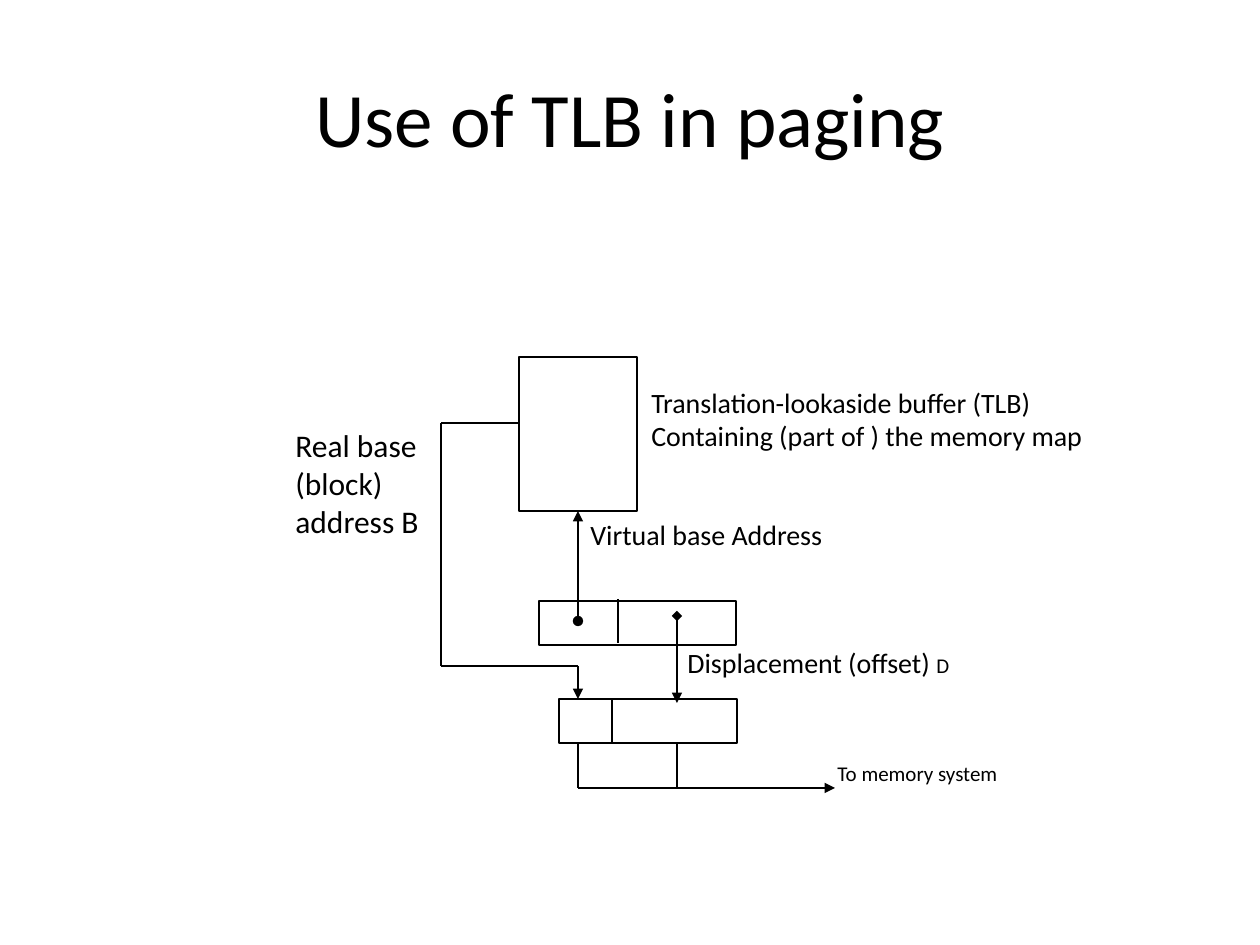
from dataclasses import dataclass

from lxml import etree
from pptx import Presentation
from pptx.dml.color import RGBColor
from pptx.enum.shapes import MSO_CONNECTOR, MSO_SHAPE
from pptx.enum.text import MSO_ANCHOR, PP_ALIGN
from pptx.oxml.ns import qn
from pptx.util import Emu, Pt

RECT = MSO_SHAPE.RECTANGLE
STRAIGHT = MSO_CONNECTOR.STRAIGHT
MIDDLE = MSO_ANCHOR.MIDDLE
CENTER = PP_ALIGN.CENTER
SCALE = 914400 // 126
BLACK, WHITE = "000000", "FFFFFF"
BOTTOM = 2


@dataclass
class Box:
    x: int
    y: int
    w: int
    h: int


@dataclass
class Wire:
    x1: int
    y1: int
    x2: int
    y2: int
    head: str = ""
    tail: str = ""


@dataclass
class Label:
    box: Box
    lines: list
    size: int


TITLE = Box(63, 38, 1134, 158)
TLB = Box(519, 357, 118, 154)
VIRTUAL = Box(539, 601, 197, 44)
REAL = Box(559, 699, 178, 44)
LEFT, BASE, OFFSET = 441, 578, 677
ENTRY, TURN, BUS = 423, 666, 788
FOOT = REAL.y + REAL.h

LOOKUP = Wire(BASE, 621, BASE, TLB.y + TLB.h, "oval", "triangle")
SPLIT = Wire(612, REAL.y, 612, FOOT)
WIRES = [
    Wire(TLB.x, ENTRY, LEFT, ENTRY),
    Wire(LEFT, ENTRY, LEFT, TURN),
    Wire(LEFT, TURN, BASE, TURN),
    Wire(BASE, TURN, BASE, REAL.y, tail="triangle"),
    Wire(618, 599, 618, 643),
    Wire(OFFSET, 616, OFFSET, 703, "diamond", "triangle"),
    Wire(BASE, FOOT, BASE, BUS),
    Wire(OFFSET, FOOT, OFFSET, BUS),
    Wire(BASE, BUS, 835, BUS, tail="triangle"),
]
LABELS = [
    Label(Box(639, 379, 505, 72), ["Translation-lookaside buffer (TLB)",
                                   "Containing (part of ) the memory map"], 16),
    Label(Box(578, 511, 324, 35), ["Virtual base Address"], 16),
    Label(Box(675, 639, 323, 54), ["Displacement (offset) "], 16),
    Label(Box(825, 754, 256, 66), ["To memory system"], 12),
    Label(Box(283, 420, 168, 116), ["Real base", "(block)\vaddress B"], 18),
]


def px(*sizes: int) -> list:
    """Turn pixel lengths into EMU."""
    return [Emu(size * SCALE) for size in sizes]


def place(box: Box) -> list:
    """Give the EMU frame of a box."""
    return px(box.x, box.y, box.w, box.h)


def tint(code: str) -> RGBColor:
    """Turn a hex string into a colour."""
    return RGBColor.from_string(code)


def apply(item, values: dict) -> None:
    """Set each named value on an object."""
    for name, value in values.items():
        setattr(item, name, value)


def style(run, size: int) -> None:
    """Format one run of text."""
    apply(run.font, {"name": "Calibri", "size": Pt(size), "bold": False})
    run.font.color.rgb = tint(BLACK)


def ink(line) -> None:
    """Give an outline its colour and width."""
    line.color.rgb = tint(BLACK)
    line.width = Pt(0.75)


def draw_box(shapes, box: Box):
    """Draw a white rectangle with a thin outline."""
    shape = shapes.add_shape(RECT, *place(box))
    shape.shadow.inherit = False
    shape.fill.solid()
    shape.fill.fore_color.rgb = tint(WHITE)
    ink(shape.line)
    return shape


def draw_wire(shapes, wire: Wire):
    """Draw a straight line with optional ends."""
    link = shapes.add_connector(STRAIGHT, *px(wire.x1, wire.y1, wire.x2, wire.y2))
    ink(link.line)
    props = link._element.spPr
    for tag, kind in (("a:headEnd", wire.head), ("a:tailEnd", wire.tail)):
        if kind:
            etree.SubElement(props.find(qn("a:ln")), qn(tag), type=kind)
    etree.SubElement(props, qn("a:effectLst"))
    return link


def draw_label(shapes, label: Label):
    """Write one paragraph for each line of a label."""
    frame = shapes.add_textbox(*place(label.box)).text_frame
    frame.word_wrap = True
    frame.text = "\n".join(label.lines)
    for para in frame.paragraphs:
        for run in para.runs:
            style(run, label.size)
    return frame


def set_title(title, text: str) -> None:
    """Move and format the title."""
    names = ("left", "top", "width", "height")
    apply(title, dict(zip(names, place(TITLE))))
    frame = title.text_frame
    frame.text = text
    frame.vertical_anchor = MIDDLE
    frame.paragraphs[0].alignment = CENTER
    style(frame.paragraphs[0].runs[0], 44)


def main() -> None:
    """Build the slide and save it."""
    deck = Presentation()
    apply(deck, dict(zip(("slide_width", "slide_height"), px(1260, 945))))
    shapes = deck.slides.add_slide(deck.slide_layouts[5]).shapes
    set_title(shapes.title, "Use of TLB in paging")
    buffer = draw_box(shapes, TLB)
    draw_box(shapes, VIRTUAL)
    group = shapes.add_group_shape().shapes
    draw_box(group, REAL)
    draw_wire(group, SPLIT)
    for wire in WIRES:
        draw_wire(shapes, wire)
    draw_wire(shapes, LOOKUP).end_connect(buffer, BOTTOM)
    frames = [draw_label(shapes, label) for label in LABELS]
    mark = frames[2].paragraphs[0].add_run()
    mark.text = "D"
    style(mark, 12)
    deck.save("out.pptx")


if __name__ == "__main__":
    main()
